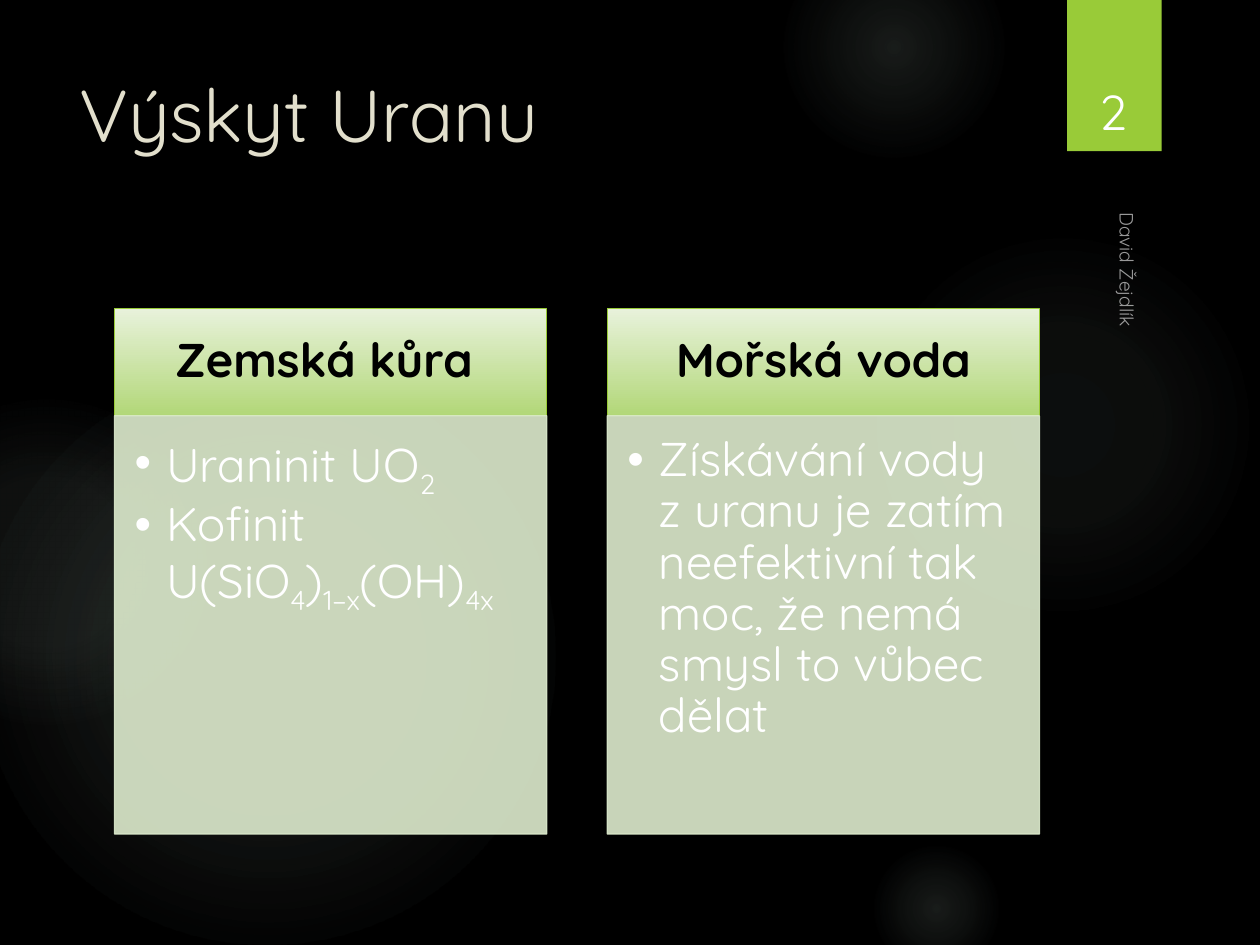
from dataclasses import dataclass
from lxml.etree import SubElement
from pptx import Presentation
from pptx.dml.color import RGBColor
from pptx.enum.shapes import MSO_SHAPE
from pptx.enum.text import MSO_ANCHOR, PP_ALIGN
from pptx.oxml import parse_xml
from pptx.oxml.ns import nsdecls, qn
from pptx.util import Inches, Pt


@dataclass(frozen=True)
class Theme:
    font: str = "Quicksand"
    background: str = "000000"
    glow: str = "AFC5B9"
    accent: str = "99CB38"
    header_top: str = "E8F2DB"
    header_bottom: str = "B2D778"
    panel: str = "DEECCE"
    title: str = "E2DFCC"
    light: str = "FFFFFF"
    dark: str = "000000"
    title_size: int = 42
    number_size: int = 28
    body_size: int = 27
    author_size: int = 11


theme = Theme()


def fill_gradient(shape, stops, direction):
    stop_xml = "".join(
        f'<a:gs pos="{position * 1000}"><a:srgbClr val="{color}">'
        f'<a:alpha val="{opacity * 1000}"/></a:srgbClr></a:gs>'
        for position, color, opacity in stops
    )
    shape._element.spPr.append(parse_xml(
        f'<a:gradFill {nsdecls("a")} rotWithShape="1">'
        f"<a:gsLst>{stop_xml}</a:gsLst>{direction}</a:gradFill>"
    ))


def style_run(span, size, color, bold=False):
    span.font.name = theme.font
    span.font.size = Pt(size)
    span.font.bold = bold
    span.font.color.rgb = RGBColor.from_string(color)


deck = Presentation()
deck.slide_width, deck.slide_height = Inches(10), Inches(7.5)
page = deck.slides.add_slide(deck.slide_layouts[6])
page.background.fill.solid()
page.background.fill.fore_color.rgb = RGBColor.from_string(theme.background)

glows = [
    (6.89, 1.83, 3.08, 7, 6, 69),
    (6.22, -0.5, 1.75, 14, 7, 73),
    (6.89, 6.67, 1.08, 14, 7, 66),
    (-0.17, 2.92, 4.58, 11, 10, 75),
    (-0.92, 3.17, 2.58, 8, 8, 72),
]
radial = ('<a:path path="circle"><a:fillToRect l="50000" t="50000" '
          'r="50000" b="50000"/></a:path>')
for left, top, diameter, center_opacity, middle_opacity, edge in glows:
    glow = page.shapes.add_shape(
        MSO_SHAPE.OVAL, Inches(left), Inches(top), Inches(diameter), Inches(diameter))
    stops = [(0, theme.glow, center_opacity), (36, theme.glow, middle_opacity),
             (edge, theme.glow, 0)]
    fill_gradient(glow, stops, radial)
    glow.line.fill.background()
    glow.shadow.inherit = False

number_tab = page.shapes.add_shape(
    MSO_SHAPE.RECTANGLE, Inches(8.47), Inches(0), Inches(0.75), Inches(1.2))
number_tab.fill.solid()
number_tab.fill.fore_color.rgb = RGBColor.from_string(theme.accent)
number_tab.line.fill.background()
number_tab.shadow.inherit = False

labels = [
    ("Výskyt Uranu", 0.53, 0.5, 7.72, 1.53, 0, theme.title_size, theme.title,
     MSO_ANCHOR.TOP, PP_ALIGN.LEFT, 100),
    ("David Žejdlík", 6.82, 3.57, 4.22, 0.25, 90, theme.author_size, theme.light,
     MSO_ANCHOR.BOTTOM, PP_ALIGN.LEFT, 60),
    ("2", 8.49, 0.32, 0.69, 0.84, 0, theme.number_size, theme.light,
     MSO_ANCHOR.BOTTOM, PP_ALIGN.CENTER, 100),
]
for text, left, top, width, height, angle, size, color, anchor, align, opacity in labels:
    box = page.shapes.add_textbox(Inches(left), Inches(top), Inches(width), Inches(height))
    box.rotation = angle
    box.text_frame.word_wrap = True
    box.text_frame.vertical_anchor = anchor
    box.text_frame.text = text
    para = box.text_frame.paragraphs[0]
    para.alignment = align
    style_run(para.runs[0], size, color)
    if opacity < 100:
        for color_node in para._p.iter(qn("a:srgbClr")):
            SubElement(color_node, qn("a:alpha"), val=str(opacity * 1000))

columns = [
    ("Zemská kůra ", [
        [("Uraninit UO", False), ("2", True)],
        [("Kofinit U(SiO", False), ("4", True), (")", False), ("1−x", True),
         ("(OH)", False), ("4x", True)],
    ]),
    ("Mořská voda", [
        [("Získávání vody z uranu je zatím neefektivní tak moc, "
          "že nemá smysl to vůbec dělat", False)],
    ]),
]
for index, (heading, bullets) in enumerate(columns):
    left = Inches(0.91 + index * 3.91)

    header = page.shapes.add_shape(
        MSO_SHAPE.RECTANGLE, left, Inches(2.45), Inches(3.43), Inches(0.85))
    stops = [(0, theme.header_top, 100), (100, theme.header_bottom, 100)]
    fill_gradient(header, stops, '<a:lin ang="5400000" scaled="0"/>')
    header.line.color.rgb = RGBColor.from_string(theme.accent)
    header.line.width = Pt(0.75)
    header.shadow.inherit = False
    frame = header.text_frame
    frame.word_wrap = True
    frame.vertical_anchor = MSO_ANCHOR.MIDDLE
    frame.margin_left = frame.margin_right = Inches(0.21)
    frame.margin_top = frame.margin_bottom = Inches(0.12)
    frame.text = heading
    para = frame.paragraphs[0]
    para.alignment = PP_ALIGN.CENTER
    para.line_spacing = 0.9
    style_run(para.runs[0], theme.body_size, theme.dark, bold=True)

    panel = page.shapes.add_shape(
        MSO_SHAPE.RECTANGLE, left, Inches(3.3), Inches(3.43), Inches(3.32))
    panel.fill.solid()
    panel.fill.fore_color.rgb = RGBColor.from_string(theme.panel)
    panel.line.color.rgb = RGBColor.from_string(theme.panel)
    panel.line.width = Pt(0.75)
    panel.shadow.inherit = False
    for color_node in panel._element.spPr.iter(qn("a:srgbClr")):
        SubElement(color_node, qn("a:alpha"), val="90000")
    frame = panel.text_frame
    frame.word_wrap = True
    frame.vertical_anchor = MSO_ANCHOR.TOP
    frame.margin_left = frame.margin_top = Inches(0.16)
    frame.margin_right, frame.margin_bottom = Inches(0.21), Inches(0.24)
    for number, pieces in enumerate(bullets):
        para = frame.add_paragraph() if number else frame.paragraphs[0]
        properties = para._p.get_or_add_pPr()
        properties.set("marL", str(Inches(0.25)))
        properties.set("indent", str(Inches(-0.25)))
        SubElement(properties, qn("a:buFont"), typeface="Arial")
        SubElement(properties, qn("a:buChar"), char="•")
        para.alignment = PP_ALIGN.LEFT
        para.line_spacing = 0.9
        para.space_after = Pt(4)
        for text, subscript in pieces:
            span = para.add_run()
            span.text = text
            style_run(span, theme.body_size, theme.light)
            if subscript:
                span._r.get_or_add_rPr().set("baseline", "-25000")

deck.save("out.pptx")
